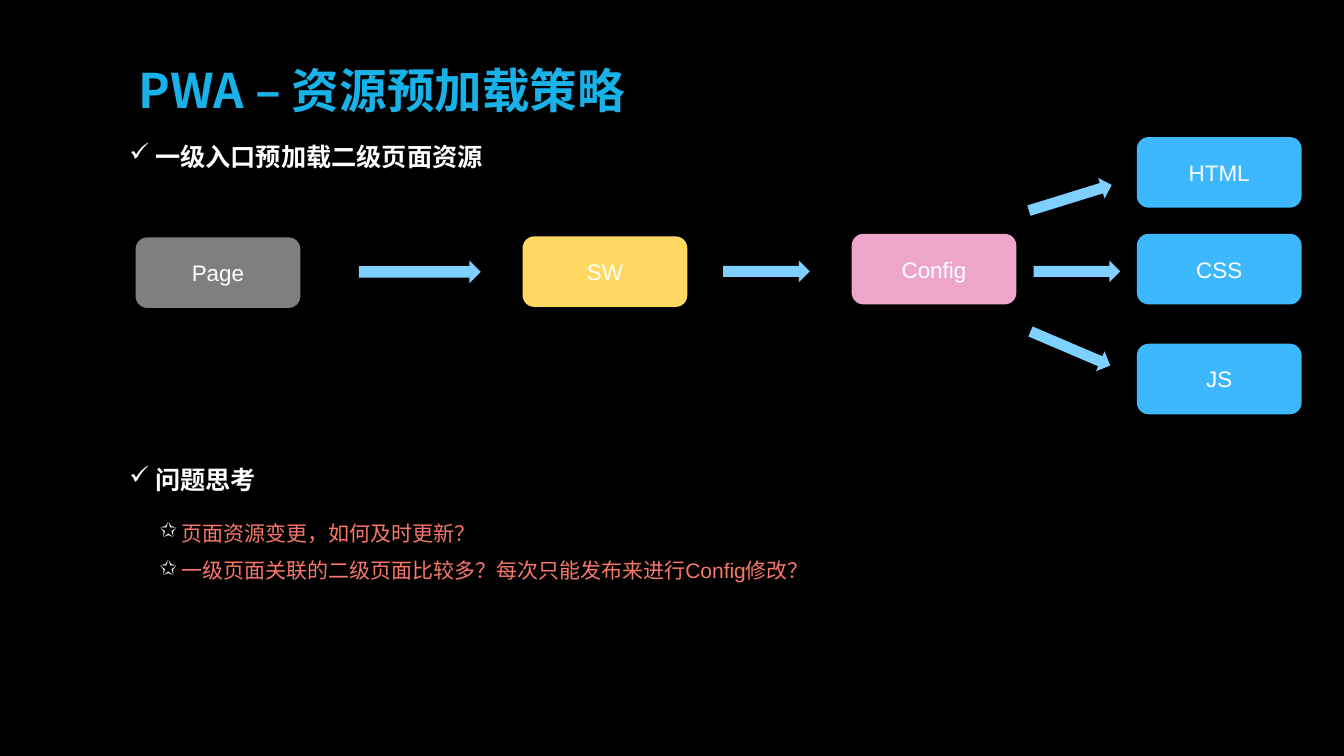
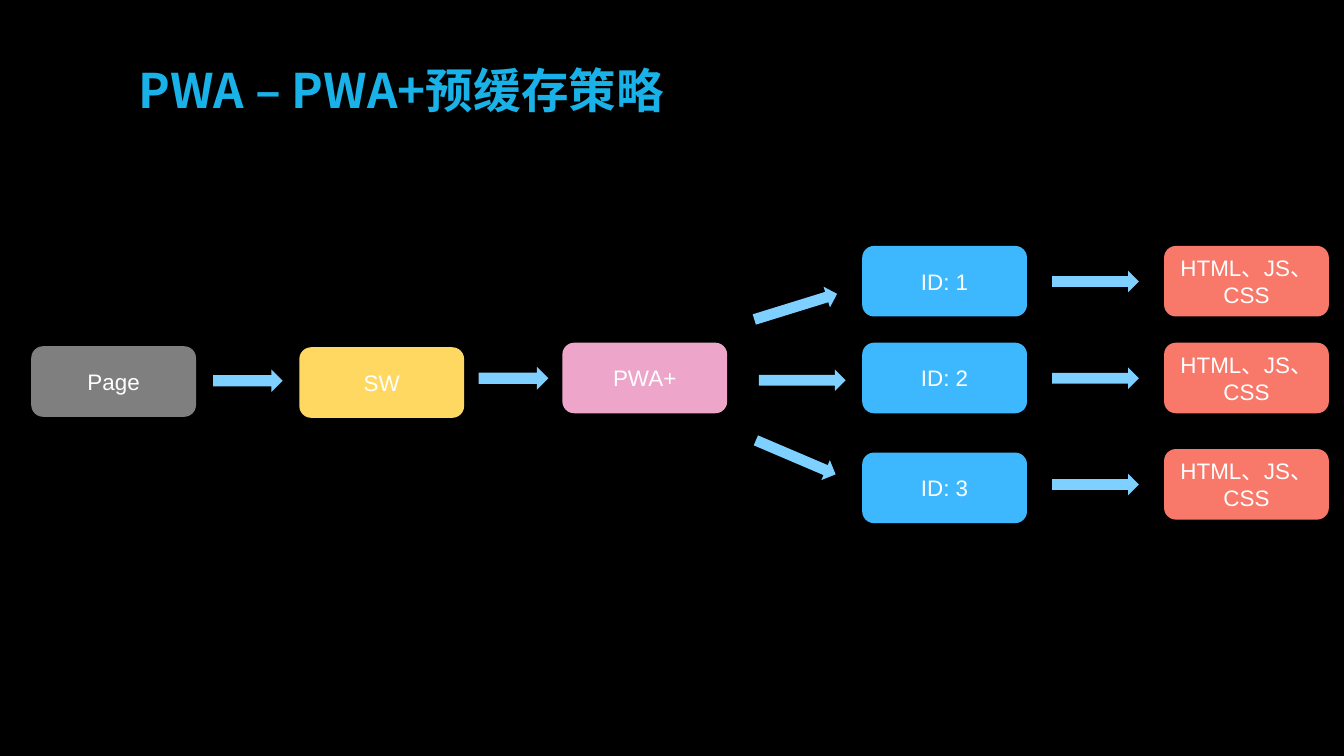
from lxml.etree import SubElement
from pptx import Presentation
from pptx.dml.color import RGBColor
from pptx.enum.shapes import MSO_SHAPE as Shape
from pptx.enum.text import MSO_ANCHOR as Anchor, MSO_AUTO_SIZE as AutoSize, PP_ALIGN as Align
from pptx.oxml.ns import qn
from pptx.util import Emu, Pt

SCALE = 9144
BLACK, WHITE, TITLE_BLUE = "000000", "FFFFFF", "18B2E8"
GRAY, YELLOW, PINK, BLUE, RED, ARROW_BLUE = "7F7F7F", "FFD862", "EDA6CA", "3DB8FF", "F8786A", "7DD0FF"
LATIN, CJK = "Arial", "Noto Sans CJK SC"
TITLE = {"size": Pt(68), "name": CJK, "bold": True}
LABEL = {"size": Pt(32), "name": LATIN}
HEADING = {"size": Pt(36), "name": LATIN, "bold": True}
QUESTION = {"size": Pt(30), "name": LATIN}
SIDES = ("margin_left", "margin_top", "margin_right", "margin_bottom")
NODE_WIDTH, NODE_HEIGHT = 327, 140
ARROW_WIDTH, ARROW_HEIGHT = 172, 43


def px(*values):
    return [Emu(round(value * SCALE)) for value in values]


def color(value):
    return RGBColor.from_string(value)


def assign(target, values):
    for name, value in values.items():
        setattr(target, name, value)


class DeckBuilder:
    """Draws flow slides in one dark style."""

    def __init__(self, width, height):
        self.deck = Presentation()
        self.deck.slide_width, self.deck.slide_height = px(width, height)
        self.page = None

    def new_page(self, title):
        self.page = self.deck.slides.add_slide(self.deck.slide_layouts[6])
        background = self.page.background.fill
        background.solid()
        background.fore_color.rgb = color(BLACK)
        frame = self.text_frame(269, 107, 2128, 143)
        self.style_frame(frame, 6)
        self.add_span(frame.paragraphs[0], title, TITLE, TITLE_BLUE)

    def text_frame(self, left, top, width, height):
        frame = self.page.shapes.add_textbox(*px(left, top, width, height)).text_frame
        frame.word_wrap = True
        return frame

    def style_frame(self, frame, margin):
        frame.vertical_anchor = Anchor.MIDDLE
        assign(frame, dict.fromkeys(SIDES, px(margin)[0]))

    def add_span(self, para, text, style, ink):
        span = para.add_run()
        span.text = text
        assign(span.font, style)
        span.font.color.rgb = color(ink)
        SubElement(span.font._element, qn("a:ea"), typeface=CJK)

    def bullets(self, left, top, width, height, lines, mark, indent, style, ink, spacing=1.0):
        frame = self.text_frame(left, top, width, height)
        frame.auto_size = AutoSize.SHAPE_TO_FIT_TEXT
        for index, line in enumerate(lines):
            para = frame.add_paragraph() if index else frame.paragraphs[0]
            para.line_spacing = spacing
            settings = para._p.get_or_add_pPr()
            settings.set("marL", str(indent * SCALE))
            settings.set("indent", str(-indent * SCALE))
            SubElement(SubElement(settings, qn("a:buClr")), qn("a:srgbClr"), val=WHITE)
            SubElement(settings, qn("a:buChar"), char=mark)
            self.add_span(para, line, style, ink)

    def heading(self, top, text):
        self.bullets(247, top, 945, 71, [text], "✓", 51, HEADING, WHITE)

    def shape(self, kind, left, top, width, height, fill):
        box = self.page.shapes.add_shape(kind, *px(left, top, width, height))
        box.shadow.inherit = False
        box.fill.solid()
        box.fill.fore_color.rgb = color(fill)
        box.line.fill.background()
        return box

    def node(self, left, top, text, fill):
        box = self.shape(Shape.ROUNDED_RECTANGLE, left, top, NODE_WIDTH, NODE_HEIGHT, fill)
        frame = box.text_frame
        frame.word_wrap = True
        self.style_frame(frame, 6)
        para = frame.paragraphs[0]
        para.alignment = Align.CENTER
        self.add_span(para, text, LABEL, WHITE)

    def arrow(self, left, top, width=ARROW_WIDTH, height=ARROW_HEIGHT, angle=0):
        self.shape(Shape.RIGHT_ARROW, left, top, width, height, ARROW_BLUE).rotation = angle

    def fan(self, left, top, labels):
        for label, drop in zip(labels, (0, 192, 410)):
            self.node(left, top + drop, label, BLUE)
        for back, drop, angle in ((218, 99, 342.8), (205, 245, 0), (218, 398, 23.1)):
            self.arrow(left - back, top + drop, angle=angle)


def preload_page(builder):
    builder.new_page("PWA – 资源预加载策略")
    builder.heading(276, "一级入口预加载二级页面资源")
    builder.node(269, 471, "Page", GRAY)
    builder.arrow(712, 517, 242, 45)
    builder.node(1037, 469, "SW", YELLOW)
    builder.arrow(1435, 517)
    builder.node(1690, 464, "Config", PINK)
    builder.fan(2256, 272, ("HTML", "CSS", "JS"))
    builder.heading(917, "问题思考")
    questions = ("页面资源变更，如何及时更新？",
                 "一级页面关联的二级页面比较多？每次只能发布来进行Config修改？")
    builder.bullets(307, 1002, 1354, 151, questions, "✩", 43, QUESTION, RED, 1.5)


def precache_page(builder):
    builder.new_page("PWA – PWA+预缓存策略")
    builder.node(62, 687, "Page", GRAY)
    builder.arrow(423, 733, 138, 45)
    builder.node(594, 689, "SW", YELLOW)
    builder.arrow(950, 728, 138, 45)
    builder.node(1116, 680, "PWA+", PINK)
    builder.fan(1711, 488, ("ID: 1", "ID: 2", "ID: 3"))
    for top in (488, 680, 891):
        builder.arrow(2088, top + 49)
        builder.node(2310, top, "HTML、JS、CSS", RED)


def main():
    builder = DeckBuilder(2667, 1500)
    preload_page(builder)
    precache_page(builder)
    builder.deck.save("out.pptx")


if __name__ == "__main__":
    main()
